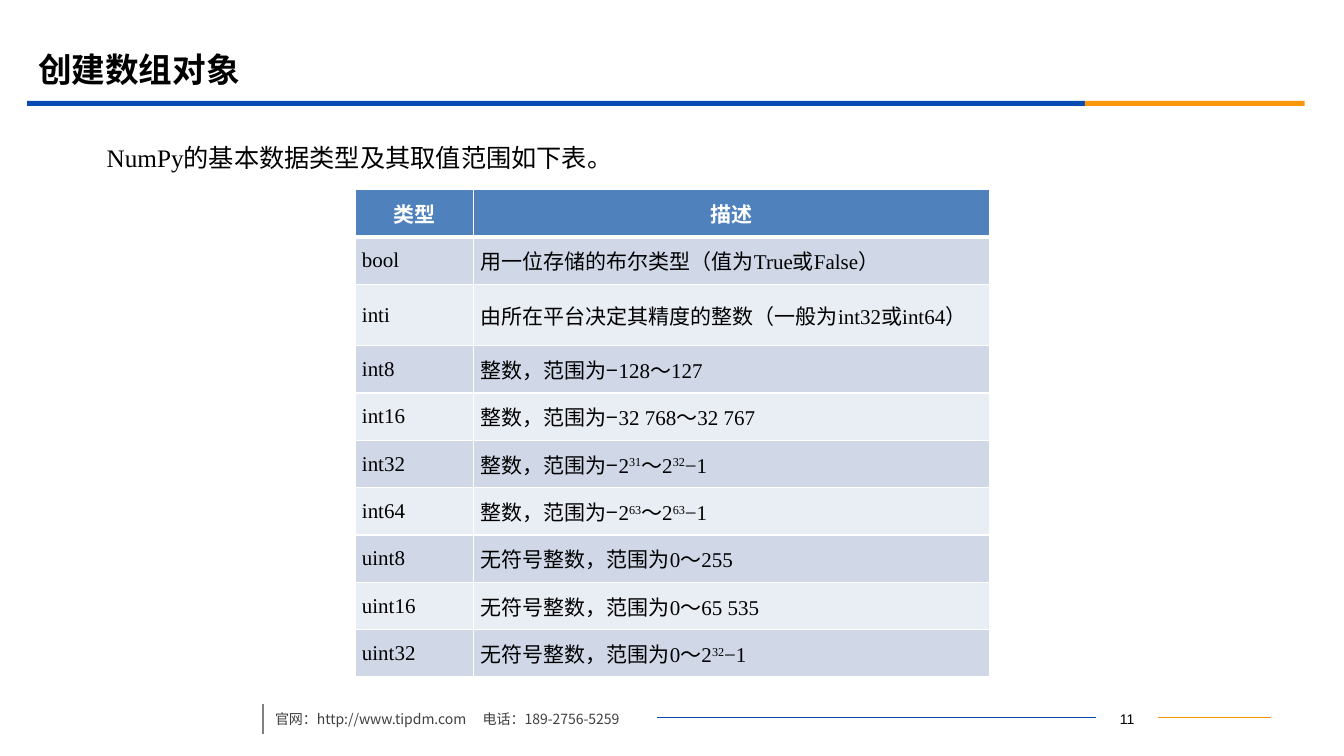
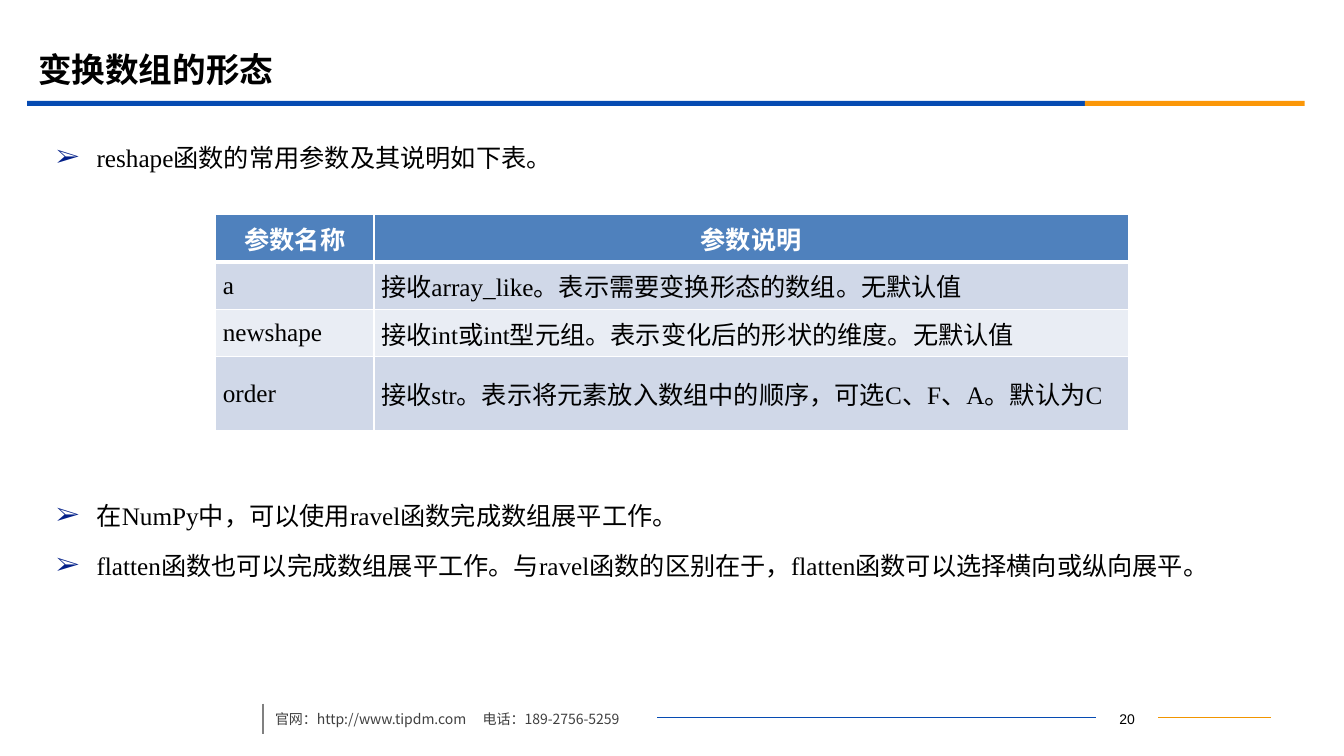
from dataclasses import dataclass
from typing import Optional

from lxml import etree
from pptx import Presentation
from pptx.dml.color import RGBColor
from pptx.enum.shapes import MSO_CONNECTOR, MSO_SHAPE
from pptx.enum.text import MSO_ANCHOR, PP_ALIGN
from pptx.oxml.ns import qn
from pptx.util import Inches, Pt

LINE, RECT = MSO_CONNECTOR.STRAIGHT, MSO_SHAPE.RECTANGLE
LEFT, MID, JUST = PP_ALIGN.LEFT, PP_ALIGN.CENTER, PP_ALIGN.JUSTIFY
TOP, CENTER = MSO_ANCHOR.TOP, MSO_ANCHOR.MIDDLE


@dataclass(frozen=True)
class Theme:
    blue: str = "064BB2"
    orange: str = "FB9708"
    amber: str = "F19500"
    grey: str = "808080"
    dark: str = "404040"
    black: str = "000000"
    white: str = "FFFFFF"
    bullet: str = "032089"
    head: str = "4F81BD"
    bands: tuple[str, str] = ("D0D8E8", "E9EDF4")
    sans: str = "Noto Sans CJK SC"
    serif: str = "Times New Roman"
    plain: str = "Arial"
    title: int = 24
    body: int = 18
    cell: int = 15
    small: int = 10


T = Theme()


@dataclass(frozen=True)
class Style:
    font: str
    size: float
    color: str = T.black
    bold: bool = False
    align: PP_ALIGN = LEFT
    space: Optional[float] = None


@dataclass(frozen=True)
class Box:
    x: float
    y: float
    w: float
    h: float

    def emu(self) -> tuple:
        return tuple(Inches(v) for v in (self.x, self.y, self.w, self.h))


@dataclass(frozen=True)
class Grid:
    x: float
    y: float
    cols: tuple[float, ...]
    size: int
    tall: tuple[int, float]  # index and height of the two-line row
    rows: tuple[tuple[str, str], ...]

    def high(self, row: int) -> float:
        return self.tall[1] if row == self.tall[0] else ROW


TITLE = Style(T.sans, T.title, bold=True)
BODY = Style(T.serif, T.body, space=1.5)
FOOT = Style(T.sans, T.small, T.dark, space=1.5)
PAGE = Style(T.plain, T.small, align=MID)
ROW = 0.47

TYPES = Grid(3.52, 1.88, (1.18, 5.12), T.cell, (2, 0.61), (
    ("类型", "描述"),
    ("bool", "用一位存储的布尔类型（值为True或False）"),
    ("inti", "由所在平台决定其精度的整数（一般为int32或int64）"),
    ("int8", "整数，范围为−128～127"),
    ("int16", "整数，范围为−32 768～32 767"),
    ("int32", "整数，范围为−2^31^～2^32^−1"),
    ("int64", "整数，范围为−2^63^～2^63^−1"),
    ("uint8", "无符号整数，范围为0～255"),
    ("uint16", "无符号整数，范围为0～65 535"),
    ("uint32", "无符号整数，范围为0～2^32^−1"),
))
PARAMS = Grid(2.14, 2.13, (1.57, 7.48), T.body, (3, 0.73), (
    ("参数名称", "参数说明"),
    ("a", "接收array_like。表示需要变换形态的数组。无默认值"),
    ("newshape", "接收int或int型元组。表示变化后的形状的维度。无默认值"),
    ("order", "接收str。表示将元素放入数组中的顺序，可选C、F、A。默认为C"),
))


def rgb(code: str) -> RGBColor:
    return RGBColor.from_string(code)


def sub(node, tag: str, **attrs: str):
    return etree.SubElement(node, qn(tag), attrs)


# Text
def dress(para, style: Style) -> None:
    para.alignment = style.align
    if style.space:
        para.line_spacing = style.space
    font = para.font
    font.name, font.size, font.bold = style.font, Pt(style.size), style.bold
    font.color.rgb = rgb(style.color)
    if style.font == T.sans:
        sub(para._p.pPr.find(qn("a:defRPr")), "a:ea", typeface=T.sans)


def write(para, text: str) -> None:
    """Add runs; parts between carets are raised."""
    for i, part in enumerate(text.split("^")):
        if part:
            run = para.add_run()
            run.text = part
            if i % 2:
                run._r.get_or_add_rPr().set("baseline", "30000")


def label(slide, box: Box, text: str, style: Style, anchor=TOP):
    shape = slide.shapes.add_textbox(*box.emu())
    frame = shape.text_frame
    frame.word_wrap, frame.vertical_anchor = True, anchor
    write(frame.paragraphs[0], text)
    dress(frame.paragraphs[0], style)
    return shape


def points(slide, box: Box, items: tuple[str, ...]) -> None:
    frame = slide.shapes.add_textbox(*box.emu()).text_frame
    frame.word_wrap = True
    for i, item in enumerate(items):
        para = frame.add_paragraph() if i else frame.paragraphs[0]
        write(para, item)
        if i:
            para.space_before = Pt(3.6)
        props = para._p.get_or_add_pPr()
        props.set("marL", str(Inches(0.4)))
        props.set("indent", str(Inches(-0.4)))
        tint = sub(props, "a:buClr")
        sub(tint, "a:srgbClr", val=T.bullet)
        sub(props, "a:buFont", typeface=T.serif)
        sub(props, "a:buChar", char="➢")
        dress(para, BODY)


# Lines and bars
def bar(slide, box: Box, color: str) -> None:
    shape = slide.shapes.add_shape(RECT, *box.emu())
    shape.shadow.inherit = False
    shape.fill.solid()
    shape.fill.fore_color.rgb = rgb(color)
    shape.line.fill.background()


def rule(slide, x1: float, y1: float, x2: float, y2: float,
         color: str, width: float = 0.75):
    line = slide.shapes.add_connector(
        LINE, Inches(x1), Inches(y1), Inches(x2), Inches(y2))
    line.line.color.rgb = rgb(color)
    line.line.width = Pt(width)
    sub(line._element.spPr, "a:effectLst")
    return line


# Table
def edge(cell, head: bool, below: bool) -> None:
    props = cell._tc.get_or_add_tcPr()
    wide = {"a:lnT": 3 if below else 1, "a:lnB": 3 if head else 1}
    for i, tag in enumerate(("a:lnL", "a:lnR", "a:lnT", "a:lnB")):
        side = etree.Element(qn(tag), w=str(Pt(wide.get(tag, 1))))
        sub(sub(side, "a:solidFill"), "a:srgbClr", val=T.white)
        props.insert(i, side)


def table(slide, grid: Grid) -> None:
    count = len(grid.rows)
    box = Box(grid.x, grid.y, sum(grid.cols),
              sum(grid.high(r) for r in range(count)))
    tab = slide.shapes.add_table(count, len(grid.cols), *box.emu()).table
    for col, width in zip(tab.columns, grid.cols):
        col.width = Inches(width)
    for r, row in enumerate(grid.rows):
        head = r == 0
        tab.rows[r].height = Inches(grid.high(r))
        style = Style(T.serif, grid.size, T.white if head else T.black,
                      head, MID if head else JUST)
        for c, text in enumerate(row):
            cell = tab.cell(r, c)
            cell.margin_left = cell.margin_right = Inches(0.07)
            cell.margin_top = cell.margin_bottom = 0
            cell.vertical_anchor = CENTER
            cell.fill.solid()
            cell.fill.fore_color.rgb = rgb(
                T.head if head else T.bands[(r - 1) % 2])
            edge(cell, head, r == 1)
            para = cell.text_frame.paragraphs[0]
            write(para, text)
            dress(para, style)


# Shared frame: title, band, footer
def base(deck, title: str, page: int):
    slide = deck.slides.add_slide(deck.slide_layouts[6])
    bar(slide, Box(0.27, 1, 10.49, 0.05), T.blue)
    bar(slide, Box(10.76, 1, 2.18, 0.05), T.orange)
    num = label(slide, Box(10.87, 7, 0.62, 0.24), str(page), PAGE)
    rule(slide, 11.49, 7.12, 12.61, 7.12, T.amber).begin_connect(num, 3)
    rule(slide, 6.52, 7.12, 10.87, 7.12, T.blue).end_connect(num, 1)
    rule(slide, 2.61, 6.98, 2.61, 7.28, T.grey, 1.25)
    foot = label(slide, Box(2.63, 6.92, 5.36, 0.35),
                 "官网：http://www.tipdm.com\t电话：189-2756-5259", FOOT)
    props = foot.text_frame.paragraphs[0]._p.pPr
    tabs = etree.Element(qn("a:tabLst"))
    sub(tabs, "a:tab", pos=str(Inches(2.06)), algn="l")
    props.find(qn("a:defRPr")).addprevious(tabs)
    label(slide, Box(0.28, 0.39, 12, 0.58), title, TITLE, CENTER)
    return slide


def main() -> None:
    deck = Presentation()
    deck.slide_width, deck.slide_height = Inches(13.33), Inches(7.5)

    # Data types
    slide = base(deck, "创建数组对象", 11)
    intro = label(slide, Box(0.46, 1.21, 12.15, 0.6),
                  "NumPy的基本数据类型及其取值范围如下表。", BODY)
    props = intro.text_frame.paragraphs[0]._p.pPr
    props.set("indent", str(Inches(0.5)))
    table(slide, TYPES)

    # Reshaping
    slide = base(deck, "变换数组的形态", 20)
    points(slide, Box(0.46, 1.21, 12.15, 0.6),
           ("reshape函数的常用参数及其说明如下表。",))
    table(slide, PARAMS)
    points(slide, Box(0.46, 4.76, 12.15, 1.2), (
        "在NumPy中，可以使用ravel函数完成数组展平工作。",
        "flatten函数也可以完成数组展平工作。与ravel函数的区别在于，"
        "flatten函数可以选择横向或纵向展平。",
    ))

    deck.save("out.pptx")


if __name__ == "__main__":
    main()
